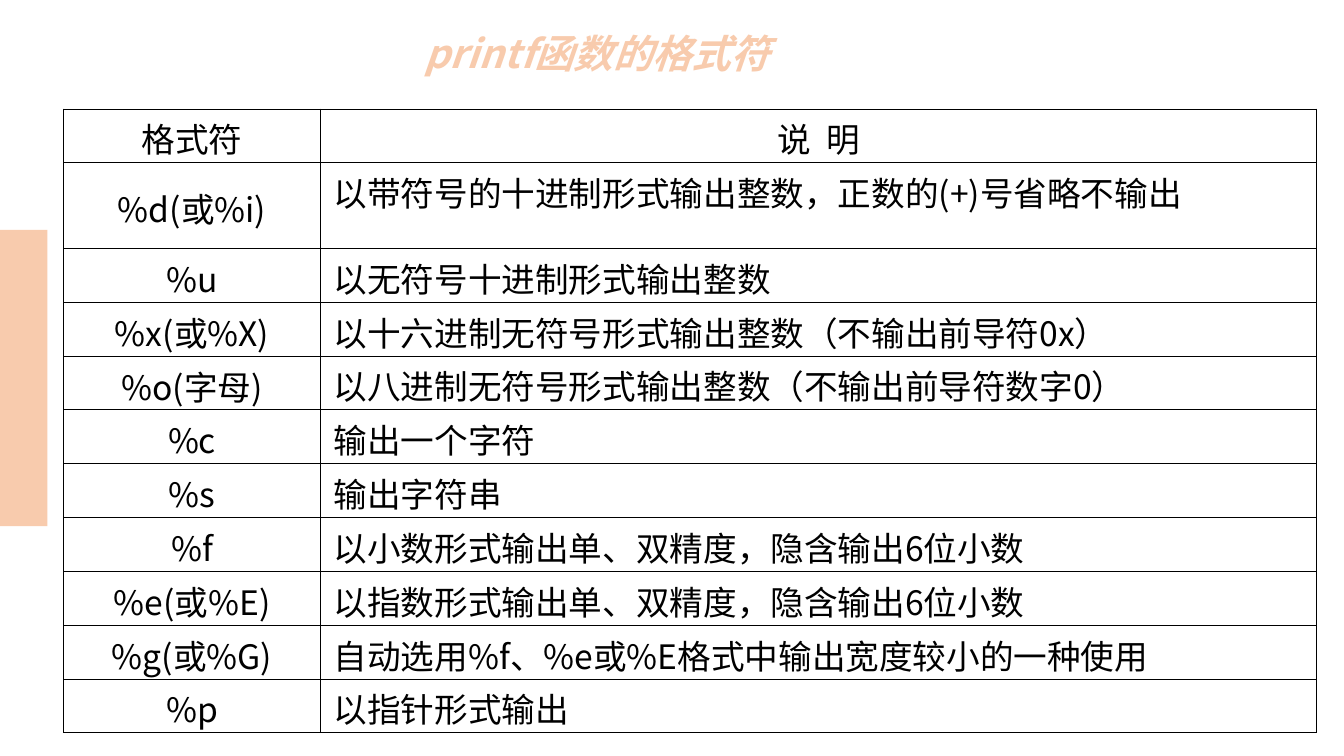
from pptx import Presentation
from pptx.dml.color import RGBColor
from pptx.enum.shapes import MSO_SHAPE
from pptx.enum.text import MSO_ANCHOR, MSO_AUTO_SIZE, PP_ALIGN
from pptx.oxml import parse_xml
from pptx.oxml.ns import nsdecls, qn
from pptx.util import Inches, Pt

RECT = MSO_SHAPE.RECTANGLE
TOP, MIDDLE = MSO_ANCHOR.TOP, MSO_ANCHOR.MIDDLE
LEFT, CENTER = PP_ALIGN.LEFT, PP_ALIGN.CENTER
NO_AUTOFIT = MSO_AUTO_SIZE.NONE
FONT = "Noto Sans CJK SC"
PEACH, ORANGE, BLACK = "F8CBAD", "ED7D31", "000000"

ROWS = [
    ("格式符", "说  明"),
    ("%d(或%i)", "以带符号的十进制形式输出整数，正数的(+)号省略不输出"),
    ("%u", "以无符号十进制形式输出整数"),
    ("%x(或%X)", "以十六进制无符号形式输出整数（不输出前导符0x）"),
    ("%o(字母)", "以八进制无符号形式输出整数（不输出前导符数字0）"),
    ("%c", "输出一个字符"),
    ("%s", "输出字符串"),
    ("%f", "以小数形式输出单、双精度，隐含输出6位小数"),
    ("%e(或%E)", "以指数形式输出单、双精度，隐含输出6位小数"),
    ("%g(或%G)", "自动选用%f、%e或%E格式中输出宽度较小的一种使用"),
    ("%p", "以指针形式输出"),
]


def rgb(value):
    return RGBColor.from_string(value)


def style(p, size, color, align):
    p.alignment = align
    p.font.size = Pt(size)
    p.font.color.rgb = rgb(color)
    p.font.name = FONT
    props = p._p.pPr.find(qn("a:defRPr"))
    props.append(parse_xml(f'<a:ea {nsdecls("a")} typeface="{FONT}"/>'))
    return props


prs = Presentation()
prs.slide_width, prs.slide_height = Inches(13.33), Inches(7.5)
s = prs.slides.add_slide(prs.slide_layouts[5])

bar = s.shapes.add_shape(RECT, 0, Inches(2.28), Inches(0.47), Inches(2.94))
bar.shadow.inherit = False
bar.fill.solid()
bar.fill.fore_color.rgb = rgb(PEACH)
bar.line.fill.background()

table = s.shapes.add_table(len(ROWS), 2, Inches(0.63), Inches(1.08), Inches(12.44), Inches(6.18)).table
table.first_row = table.horz_banding = False
table.columns[0].width, table.columns[1].width = Inches(2.55), Inches(9.88)

for i, texts in enumerate(ROWS):
    table.rows[i].height = Inches(0.85 if i == 1 else 0.53)
    for j, text in enumerate(texts):
        cell = table.cell(i, j)
        cell.margin_left = cell.margin_right = Inches(0.13)
        cell.margin_top, cell.margin_bottom = Inches(0.05), 0
        cell.vertical_anchor = MIDDLE if i and j == 0 else TOP
        cell.text = text
        style(cell.text_frame.paragraphs[0], 24, BLACK, CENTER if i == 0 or j == 0 else LEFT)
        for side in ("lnL", "lnR", "lnT", "lnB"):
            cell._tc.get_or_add_tcPr().append(parse_xml(
                f'<a:{side} {nsdecls("a")} w="{Pt(0.5)}"><a:solidFill>'
                f'<a:srgbClr val="{BLACK}"/></a:solidFill></a:{side}>'))
        cell.fill.background()

title = s.shapes.title
title.left, title.top, title.width, title.height = Inches(4.11), Inches(0.29), Inches(4.32), Inches(0.53)
tf = title.text_frame
tf.text = "printf函数的格式符"
tf.word_wrap = True
tf.auto_size = NO_AUTOFIT
tf.vertical_anchor = MIDDLE
p = tf.paragraphs[0]
p.line_spacing = 0.9
p.font.bold = p.font.italic = True
style(p, 28, PEACH, LEFT).insert(0, parse_xml(
    f'<a:ln {nsdecls("a")} w="{Pt(1.75)}"><a:solidFill>'
    f'<a:srgbClr val="{ORANGE}"/></a:solidFill></a:ln>'))

prs.save("out.pptx")
